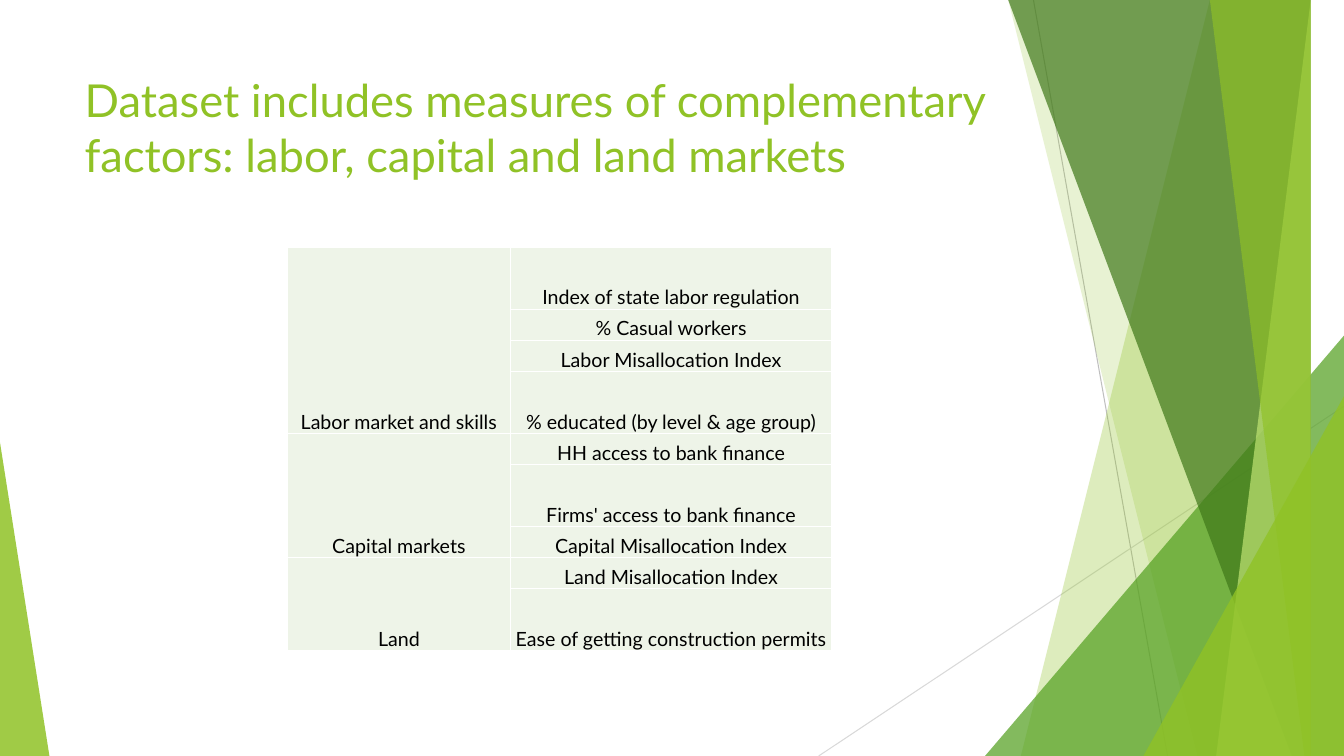
from pptx import Presentation
from pptx.dml.color import RGBColor
from pptx.enum.shapes import MSO_CONNECTOR, MSO_SHAPE
from pptx.enum.text import MSO_ANCHOR, PP_ALIGN
from pptx.oxml.ns import qn
from pptx.util import Inches, Pt
from lxml import etree

STRAIGHT = MSO_CONNECTOR.STRAIGHT
TRIANGLE = MSO_SHAPE.ISOSCELES_TRIANGLE
TOP, BOTTOM = MSO_ANCHOR.TOP, MSO_ANCHOR.BOTTOM
LEFT, CENTER = PP_ALIGN.LEFT, PP_ALIGN.CENTER

SLIDE_WIDTH, SLIDE_HEIGHT = 13.33, 7.5
TITLE_ONLY_LAYOUT = 5
FONT = "Lato"
GREEN, BLACK, WHITE, PALE_GREEN = "90C226", "000000", "FFFFFF", "EEF4E8"

TITLE = ("Dataset includes measures of complementary factors: "
         "labor, capital and land markets")

# Each measure comes with its height in table lines.
MARKETS = [
    ("Labor market and skills", [
        ("Index of state labor regulation", 2),
        ("% Casual workers", 1),
        ("Labor Misallocation Index", 1),
        ("% educated (by level & age group)", 2)]),
    ("Capital markets", [
        ("HH access to bank finance", 1),
        ("Firms' access to bank finance", 2),
        ("Capital Misallocation Index", 1)]),
    ("Land", [
        ("Land Misallocation Index", 1),
        ("Ease of getting construction permits", 2)]),
]
COLUMN_SHARES = (0.41, 0.59)


def color(hex_string):
    return RGBColor.from_string(hex_string)


def style_text(text_frame, size, text_color, alignment):
    for paragraph in text_frame.paragraphs:
        paragraph.alignment = alignment
        for run in paragraph.runs:
            run.font.name = FONT
            run.font.size = Pt(size)
            run.font.bold = False
            run.font.color.rgb = color(text_color)


def paint(shape, fill, opacity):
    """Give a shape a translucent fill without outline or shadow."""
    shape.shadow.inherit = False
    shape.line.fill.background()
    shape.fill.solid()
    shape.fill.fore_color.rgb = color(fill)
    fill_color = shape.fill._xPr.find(qn("a:solidFill"))[0]
    etree.SubElement(fill_color, qn("a:alpha"), val=str(opacity * 1000))


def add_ray(slide, start, end, line_color):
    ray = slide.shapes.add_connector(
        STRAIGHT, *(Inches(value) for value in (*start, *end)))
    ray.line.color.rgb = color(line_color)
    ray.line.width = Pt(0.75)
    etree.SubElement(ray._element.spPr, qn("a:effectLst"))


def add_band(slide, box, top_reach, bottom_reach, fill, opacity):
    """Fill from the right edge of the box to a slanted left edge."""
    left, top, width, height = box
    right, bottom = left + width, top + height
    builder = slide.shapes.build_freeform(
        right - top_reach, top, scale=Inches(1))
    builder.add_line_segments([
        (right, top), (right, bottom), (right - bottom_reach, bottom)])
    paint(builder.convert_to_shape(), fill, opacity)


def add_corner(slide, box, apex, fill, opacity):
    triangle = slide.shapes.add_shape(
        TRIANGLE, *(Inches(value) for value in box))
    triangle.adjustments[0] = apex
    paint(triangle, fill, opacity)


def add_facets(slide, box):
    left, top, width, height = box
    right, bottom = left + width, top + height

    def corner(reach, rise, fill, opacity):
        area = (right - reach, bottom - rise, reach, rise)
        add_corner(slide, area, 1, fill, opacity)

    add_ray(slide, (right - 3.08, top), (right - 1.75, bottom), "BFBFBF")
    add_ray(slide, (right, top + 4.03), (left, bottom), "D9D9D9")
    add_band(slide, box, 1.05, 3.29, GREEN, 30)
    add_band(slide, box, 2.83, 1.5, GREEN, 20)
    corner(3.56, 4.17, "54A021", 72)
    add_band(slide, box, 3.12, 0.42, "3F7819", 70)
    add_band(slide, box, 0.3, 1.41, "C0E474", 70)
    add_band(slide, box, 1.37, 0.15, GREEN, 65)
    corner(1.99, 3.57, GREEN, 80)


def fill_title(slide, box):
    title = slide.shapes.title
    title.left, title.top, title.width, title.height = map(Inches, box)
    title.text_frame.text = TITLE
    title.text_frame.word_wrap = True
    title.text_frame.vertical_anchor = TOP
    style_text(title.text_frame, 32.4, GREEN, LEFT)


def format_cell(cell):
    cell.vertical_anchor = BOTTOM
    cell.margin_left = cell.margin_right = cell.margin_top = Inches(0.01)
    cell.margin_bottom = 0
    style_text(cell.text_frame, 14, BLACK, CENTER)
    properties = cell._tc.get_or_add_tcPr()
    for side in ("a:lnL", "a:lnR", "a:lnT", "a:lnB"):
        border = etree.SubElement(properties, qn(side), w=str(Pt(1)))
        border_fill = etree.SubElement(border, qn("a:solidFill"))
        etree.SubElement(border_fill, qn("a:srgbClr"), val=WHITE)
    cell.fill.solid()
    cell.fill.fore_color.rgb = color(PALE_GREEN)


def add_market_table(slide, box):
    measures = [measure for _, group in MARKETS for measure in group]
    table = slide.shapes.add_table(
        len(measures), len(COLUMN_SHARES), *map(Inches, box)).table
    table.first_row = table.horz_banding = False
    _, _, width, height = box
    for column, share in zip(table.columns, COLUMN_SHARES):
        column.width = Inches(width * share)
    line_height = height / sum(lines for _, lines in measures)
    for index, (measure, lines) in enumerate(measures):
        table.rows[index].height = Inches(line_height * lines)
        table.cell(index, 1).text_frame.text = measure
    first = 0
    for market, group in MARKETS:
        last = first + len(group) - 1
        table.cell(first, 0).merge(table.cell(last, 0))
        table.cell(first, 0).text_frame.text = market
        first = last + 1
    for cell in table.iter_cells():
        format_cell(cell)


def main():
    presentation = Presentation()
    presentation.slide_width = Inches(SLIDE_WIDTH)
    presentation.slide_height = Inches(SLIDE_HEIGHT)
    layout = presentation.slide_layouts[TITLE_ONLY_LAYOUT]
    slide = presentation.slides.add_slide(layout)
    add_facets(slide, (8.12, 0, SLIDE_WIDTH - 8.12, SLIDE_HEIGHT))
    add_corner(slide, (0, SLIDE_HEIGHT - 3.11, 0.49, 3.11), 0, GREEN, 85)
    fill_title(slide, (0.74, 0.67, 9.4, 1.44))
    add_market_table(slide, (2.85, 2.45, 5.4, 4.01))
    presentation.save("out.pptx")


if __name__ == "__main__":
    main()
